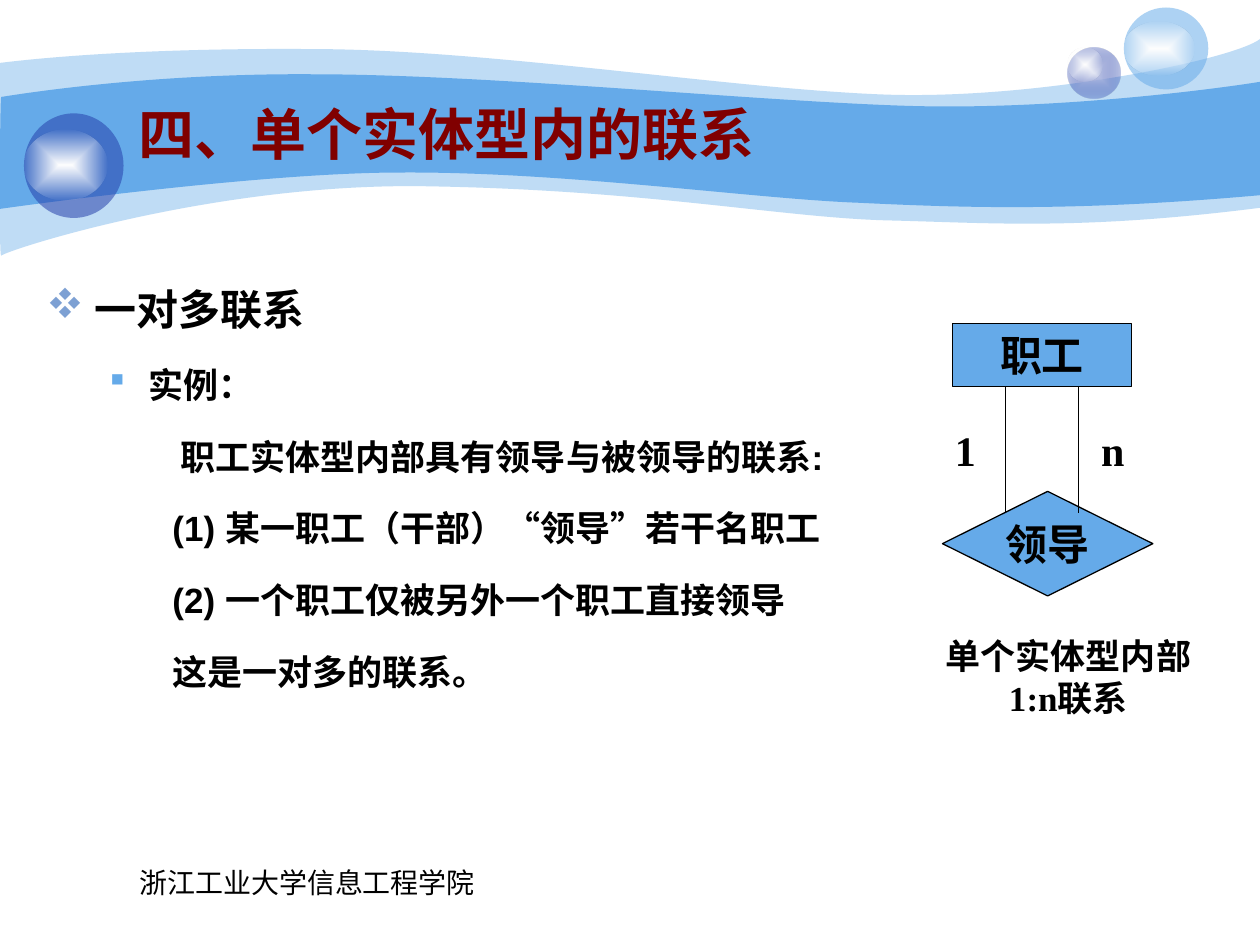
from dataclasses import dataclass
from pptx import Presentation
from pptx.dml.color import RGBColor
from pptx.enum.shapes import MSO_CONNECTOR as Connector, MSO_SHAPE as Shape
from pptx.enum.text import MSO_ANCHOR as Anchor, MSO_AUTO_SIZE as AutoSize, PP_ALIGN as Align
from pptx.oxml import parse_xml
from pptx.oxml.ns import nsdecls, qn
from pptx.util import Pt

PX = 9144  # 100 px to the inch


@dataclass(frozen=True)
class Theme:
    sky: str = "65AAE9"
    navy: str = "233DA9"
    lilac: str = "C7CEE9"
    white: str = "FFFFFF"
    black: str = "000000"
    maroon: str = "800000"
    bullet: str = "7DA0D3"
    sans: str = "Arial"
    serif: str = "Times New Roman"
    symbols: str = "Wingdings"
    title: int = 32
    large: int = 24
    medium: int = 20
    small: int = 16


theme = Theme()


def paint(shape, *stops):
    """Fill with (colour, opacity %) stops: one is solid, two run from centre to edge."""
    colours = [f'<a:srgbClr val="{colour}"><a:alpha val="{opacity * 1000}"/></a:srgbClr>'
               for colour, opacity in stops]
    if len(colours) == 1:
        xml = f'<a:solidFill {nsdecls("a")}>{colours[0]}</a:solidFill>'
    else:
        xml = (f'<a:gradFill {nsdecls("a")} rotWithShape="1"><a:gsLst>'
               f'<a:gs pos="0">{colours[0]}</a:gs><a:gs pos="100000">{colours[1]}</a:gs>'
               '</a:gsLst><a:path path="rect">'
               '<a:fillToRect l="50000" t="50000" r="50000" b="50000"/></a:path></a:gradFill>')
    shape.shadow.inherit = False
    shape.line.fill.background()
    shape.fill.background()
    properties = shape._element.spPr
    properties.replace(properties.find(qn("a:noFill")), parse_xml(xml))


def write(para, text, size, font=theme.serif, colour=theme.black, bold=True, align=Align.LEFT):
    para.alignment = align
    span = para.add_run()
    span.text = text
    for name, value in {"size": Pt(size), "name": font, "bold": bold}.items():
        setattr(span.font, name, value)
    span.font.color.rgb = RGBColor.from_string(colour)


deck = Presentation()
deck.slide_width, deck.slide_height = 1000 * PX, 750 * PX
page = deck.slides.add_slide(deck.slide_layouts[5])
shapes = page.shapes

# Banner waves: opacity, start point, then curves (three points) and straight lines (one point)
for opacity, start, segments in [
    (41, (0, 50), [
        [(24, 47), (107, 38), (247, 39)], [(386, 39), (575, 70), (699, 75)],
        [(822, 80), (980, 47), (1000, 31)], [(1000, 165)],
        [(858, 183), (787, 177), (705, 175)], [(622, 173), (515, 151), (343, 148)],
        [(172, 144), (4, 199), (1, 203)], [(-1, 208), (0, 75), (0, 50)]]),
    (100, (1, 77), [
        [(2, 77), (110, 58), (248, 59)], [(386, 59), (595, 80), (718, 84)],
        [(841, 88), (976, 69), (1000, 65)], [(1000, 155)],
        [(853, 168), (765, 165), (682, 161)], [(599, 158), (447, 136), (317, 137)],
        [(203, 137), (-2, 166), (-1, 166)], [(0, 166), (0, 77), (1, 77)]]),
]:
    builder = shapes.build_freeform(*start, scale=PX)
    builder.add_line_segments([point for segment in segments for point in segment], close=True)
    wave = builder.convert_to_shape()
    lines = iter(list(wave._element.iter(qn("a:lnTo"))))
    for segment in segments:
        parts = [next(lines) for point in segment]
        if len(parts) == 3:
            curve = parse_xml(f'<a:cubicBezTo {nsdecls("a")}/>')
            parts[0].addprevious(curve)
            for part in parts:
                curve.append(part[0])
                part.getparent().remove(part)
    paint(wave, (theme.sky, opacity))

# Bubbles, each followed by its highlight
shine = [(theme.white, 100), (theme.white, 0)]
for bounds, stops in [
    ((847, 38, 42, 40), [(theme.lilac, 100), (theme.navy, 31)]),
    ((847, 38, 28, 27), shine),
    ((892, 6, 67, 65), [(theme.sky, 53)]),
    ((892, 17, 56, 43), shine),
    ((19, 90, 79, 83), [(theme.navy, 53)]),
    ((19, 103, 66, 56), shine),
]:
    paint(shapes.add_shape(Shape.OVAL, *(v * PX for v in bounds)), *stops)

# Title, brought in front of the banner
title = shapes.title
shapes._spTree.append(title._element)
title.left, title.top, title.width, title.height = (v * PX for v in (100, 75, 808, 62))
title.text_frame.auto_size = AutoSize.NONE
title.text_frame.vertical_anchor = Anchor.MIDDLE
write(title.text_frame.paragraphs[0], "四、单个实体型内的联系", theme.title, theme.sans, theme.maroon)

# Body: left margin, hanging indent, bullet (a symbol font code) and its colour for each level
levels = [(38, -38, "v", theme.bullet), (81, -31, "§", theme.sky), (125, -25, None, None)]
body = shapes.add_textbox(*(v * PX for v in (27, 200, 695, 395))).text_frame
body.word_wrap = True
for index, (level, size, text) in enumerate([
    (0, theme.large, "一对多联系"),
    (1, theme.medium, "实例："),
    (2, theme.medium, " 职工实体型内部具有领导与被领导的联系:"),
    (2, theme.medium, "(1) 某一职工（干部）“领导”若干名职工"),
    (2, theme.medium, "(2) 一个职工仅被另外一个职工直接领导"),
    (2, theme.medium, "这是一对多的联系。"),
]):
    para = body.add_paragraph() if index else body.paragraphs[0]
    margin, indent, bullet, colour = levels[level]
    para.level = level
    properties = para._p.get_or_add_pPr()
    properties.set("marL", str(margin * PX))
    properties.set("indent", str(indent * PX))
    marks = ["<a:buNone {}/>"]
    if bullet:
        marks = [f'<a:buClr {{}}><a:srgbClr val="{colour}"/></a:buClr>',
                 f'<a:buFont {{}} typeface="{theme.symbols}" pitchFamily="2" charset="2"/>',
                 f'<a:buChar {{}} char="{bullet}"/>']
    for mark in marks:
        properties.append(parse_xml(mark.format(nsdecls("a"))))
    para.line_spacing = 1.5
    if index:
        para.space_before = Pt(5)
    write(para, text, size, theme.sans)

# Entity and relationship nodes
for kind, bounds, text, anchor, wrap in [
    (Shape.RECTANGLE, (756, 257, 142, 50), "职工", Anchor.TOP, True),
    (Shape.DIAMOND, (748, 390, 167, 83), "领导", Anchor.MIDDLE, False),
]:
    node = shapes.add_shape(kind, *(v * PX for v in bounds))
    paint(node, (theme.sky, 100))
    node.line.color.rgb = RGBColor.from_string(theme.black)
    node.line.width = Pt(0.75)
    node.text_frame.vertical_anchor = anchor
    node.text_frame.word_wrap = wrap
    write(node.text_frame.paragraphs[0], text, theme.large, align=Align.CENTER)

for x in (798, 856):
    link = shapes.add_connector(Connector.STRAIGHT, *(v * PX for v in (x, 307, x, 407)))
    link.line.color.rgb = RGBColor.from_string(theme.black)
    link.line.width = Pt(0.75)
    link._element.spPr.append(parse_xml(f'<a:effectLst {nsdecls("a")}/>'))

# Cardinalities, caption and footer
for bounds, text, size, bold, align in [
    ((748, 332, 42, 50), "1", theme.large, True, Align.LEFT),
    ((864, 332, 42, 50), "n", theme.large, True, Align.LEFT),
    ((723, 499, 250, 77), "单个实体型内部1:n联系", theme.medium, True, Align.CENTER),
    ((51, 682, 386, 52), "浙江工业大学信息工程学院", theme.small, False, Align.CENTER),
]:
    label = shapes.add_textbox(*(v * PX for v in bounds)).text_frame
    label.word_wrap = True
    write(label.paragraphs[0], text, size, bold=bold, align=align)

deck.save("out.pptx")
